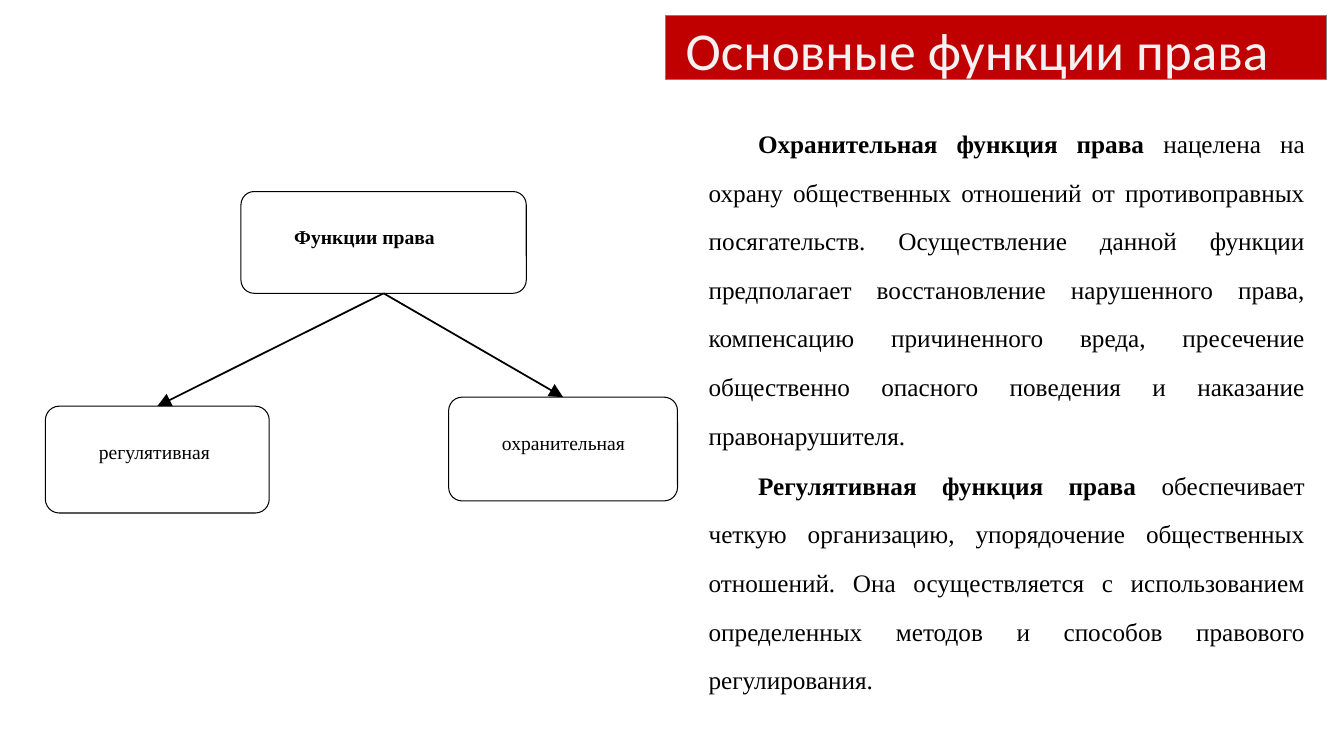
from lxml import etree
from pptx import Presentation
from pptx import util as u
from pptx.dml.color import RGBColor
from pptx.enum import shapes, text
from pptx.oxml import ns

PX = 9144  # 100 px to the inch
BLACK = RGBColor(0x00, 0x00, 0x00)
RED = RGBColor(0xC0, 0x00, 0x00)
GREY = RGBColor(0x80, 0x80, 0x80)
PALE = RGBColor(0xF2, 0xF2, 0xF2)
SERIF = "Times New Roman"
FIRST_LINE = 49

DEFINITIONS = [
    ("Охранительная функция права ",
     "нацелена на охрану общественных отношений от противоправных посягательств. "
     "Осуществление данной функции предполагает восстановление нарушенного права, "
     "компенсацию причиненного вреда, пресечение общественно опасного поведения "
     "и наказание правонарушителя."),
    ("Регулятивная функция права ",
     "обеспечивает четкую организацию, упорядочение общественных отношений. "
     "Она осуществляется с использованием определенных методов и способов "
     "правового регулирования."),
]


def px(*lengths):
    return [u.Emu(length * PX) for length in lengths]


def set_margins(frame, left, top, right, bottom):
    (frame.margin_left, frame.margin_top,
     frame.margin_right, frame.margin_bottom) = px(left, top, right, bottom)


def style_run(run, size, color, name, bold=False):
    run.font.size = u.Pt(size)
    run.font.color.rgb = color
    run.font.name = name
    run.font.bold = bold


def indent_first_line(paragraph):
    properties = paragraph._p.get_or_add_pPr()
    properties.set("marL", "0")
    properties.set("indent", str(FIRST_LINE * PX))


def add_heading(slide, wording):
    heading = slide.shapes.title
    heading.left, heading.top, heading.width, heading.height = px(660, 15, 656, 64)
    heading.fill.solid()
    heading.fill.fore_color.rgb = RED
    heading.line.color.rgb = GREY
    heading.line.width = u.Pt(0.75)
    frame = heading.text_frame
    frame.text = wording
    frame.word_wrap = True
    frame.auto_size = text.MSO_AUTO_SIZE.NONE
    frame.vertical_anchor = text.MSO_ANCHOR.MIDDLE
    set_margins(frame, 20, 31, 20, 20)
    paragraph = frame.paragraphs[0]
    paragraph.alignment = text.PP_ALIGN.LEFT
    paragraph.line_spacing = u.Pt(40)
    style_run(paragraph.runs[0], 38, PALE, "Calibri")


def add_node(slide, wording, left, top, width, height, bold=False):
    """Draw one box of the function tree and return it."""
    node = slide.shapes.add_shape(shapes.MSO_SHAPE.ROUNDED_RECTANGLE,
                                  *px(left, top, width, height))
    node.adjustments[0] = 0.13
    node.shadow.inherit = False
    node.fill.background()
    node.line.color.rgb = BLACK
    node.line.width = u.Pt(0.75)
    frame = node.text_frame
    frame.text = wording
    frame.word_wrap = True
    frame.vertical_anchor = text.MSO_ANCHOR.TOP
    set_margins(frame, 0, 28, 0, 0)
    paragraph = frame.paragraphs[0]
    paragraph.alignment = text.PP_ALIGN.LEFT
    paragraph.line_spacing = 1.07
    indent_first_line(paragraph)
    style_run(paragraph.runs[0], 14, BLACK, SERIF, bold)
    return node


def add_arrow(slide, parent, child):
    arrow = slide.shapes.add_connector(shapes.MSO_CONNECTOR.STRAIGHT, 0, 0, 0, 0)
    arrow.begin_connect(parent, 2)
    arrow.end_connect(child, 0)
    arrow.line.color.rgb = BLACK
    arrow.line.width = u.Pt(1.25)
    etree.SubElement(arrow.line._get_or_add_ln(), ns.qn("a:tailEnd"),
                     type="triangle", w="lg", len="lg")
    etree.SubElement(arrow._element.spPr, ns.qn("a:effectLst"))


def add_definitions(slide, definitions):
    frame = slide.shapes.add_textbox(*px(693, 104, 611, 590)).text_frame
    frame.word_wrap = True
    for index, (term, meaning) in enumerate(definitions):
        paragraph = frame.add_paragraph() if index else frame.paragraphs[0]
        paragraph.alignment = text.PP_ALIGN.JUSTIFY
        paragraph.line_spacing = 1.61
        paragraph.space_after = u.Pt(0.8)
        indent_first_line(paragraph)
        for wording, bold in ((term, True), (meaning, False)):
            run = paragraph.add_run()
            run.text = wording
            style_run(run, 18, BLACK, SERIF, bold)


def main():
    deck = Presentation()
    deck.slide_width, deck.slide_height = px(1333, 750)
    slide = deck.slides.add_slide(deck.slide_layouts.get_by_name("Title Only"))
    add_heading(slide, "Основные функции права")
    functions = add_node(slide, "Функции права", 239, 190, 283, 101, bold=True)
    protective = add_node(slide, "охранительная", 445, 394, 227, 103)
    regulatory = add_node(slide, "регулятивная", 45, 403, 222, 106)
    for kind in (regulatory, protective):
        add_arrow(slide, functions, kind)
    add_definitions(slide, DEFINITIONS)
    deck.save("out.pptx")


if __name__ == "__main__":
    main()
